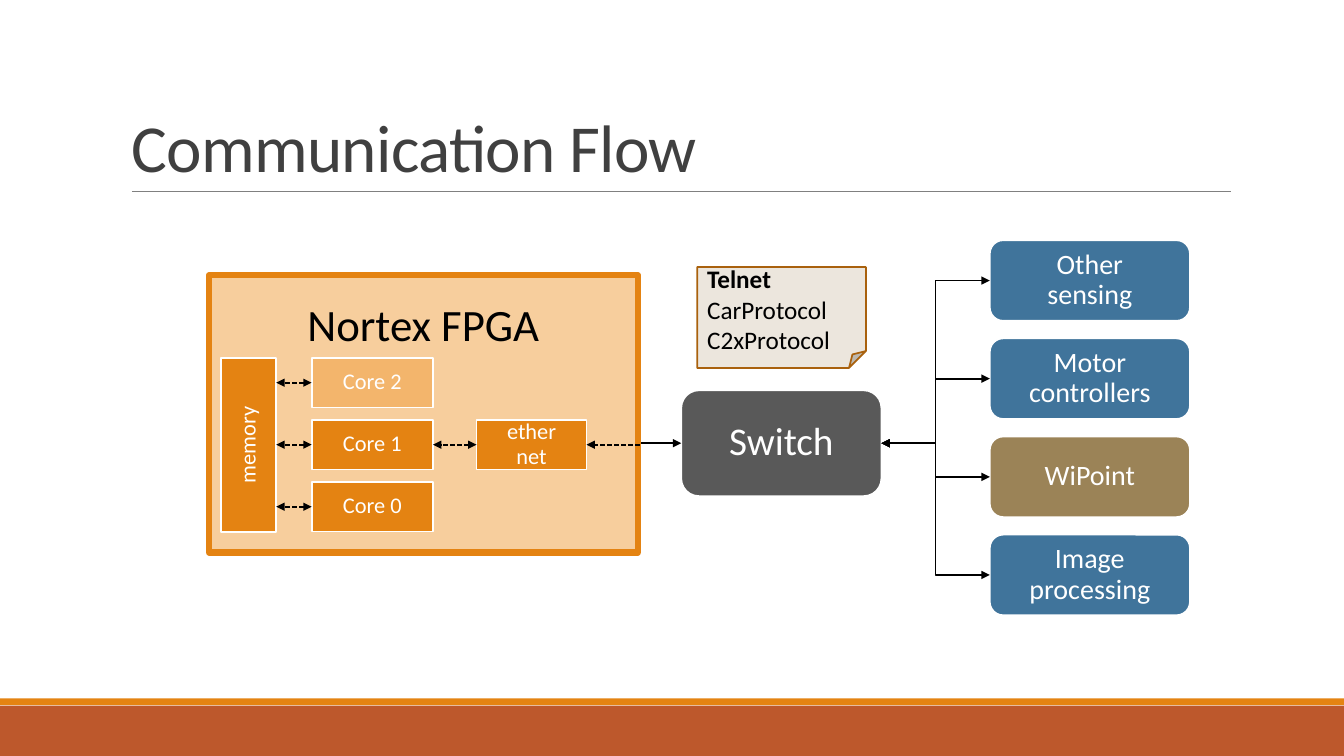
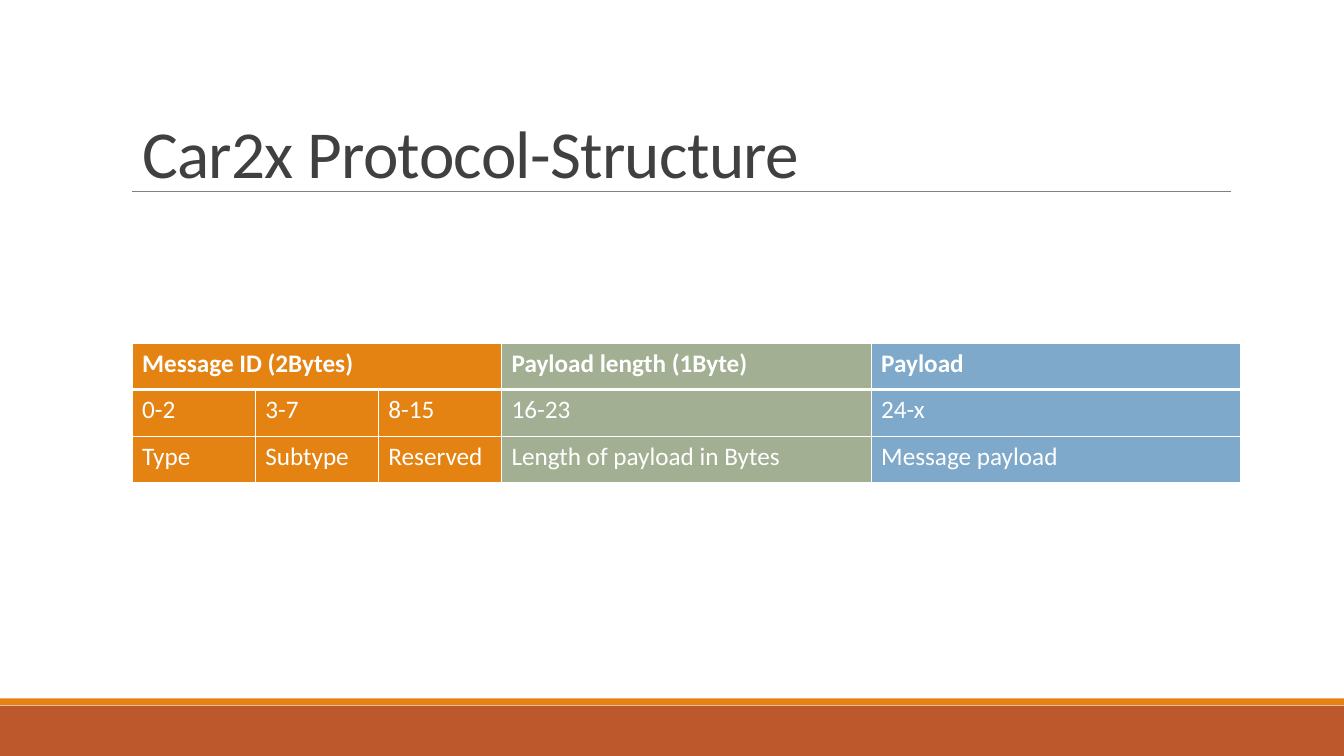
"""Build two slides on a car network: its communication flow and its message layout."""
from dataclasses import dataclass
from typing import Optional

import lxml.etree
import pptx
import pptx.dml.color
import pptx.enum.dml
import pptx.enum.shapes
import pptx.enum.text
import pptx.oxml.ns
import pptx.util

Pt = pptx.util.Pt
qn = pptx.oxml.ns.qn
SHAPE = pptx.enum.shapes.MSO_SHAPE
CONNECTOR = pptx.enum.shapes.MSO_CONNECTOR
ANCHOR = pptx.enum.text.MSO_ANCHOR
ALIGN = pptx.enum.text.PP_ALIGN


@dataclass(frozen=True)
class Theme:
    font: str = "Calibri"
    white: str = "FFFFFF"
    black: str = "000000"
    title: str = "404040"
    rule: str = "808080"
    rust: str = "BD582C"
    orange: str = "E48312"
    light_orange: str = "F3B56C"
    pale_orange: str = "F7CE9D"
    blue: str = "40749B"
    light_blue: str = "7EA9CA"
    olive: str = "9B8357"
    sage: str = "A2AF92"
    gray: str = "595959"
    note: str = "ECE6DD"
    note_line: str = "A9610D"
    title_size: float = 48
    board_size: float = 32
    switch_size: float = 28
    device_size: float = 20
    body_size: float = 18
    core_size: float = 16


T = Theme()
WIDTH, HEIGHT = 960, 540
MARGIN = 94.3
INSET = 19.4


@dataclass(frozen=True)
class Box:
    text: str
    x: float
    y: float
    w: float
    h: float
    fill: str
    size: float = T.core_size
    kind: int = SHAPE.RECTANGLE
    line: Optional[str] = T.white
    line_width: float = 1.25
    color: str = T.white
    anchor: int = ANCHOR.MIDDLE
    vertical: bool = False

    @property
    def right(self) -> float:
        return self.x + self.w

    @property
    def middle(self) -> float:
        return self.y + self.h / 2


@dataclass(frozen=True)
class Link:
    x1: float
    y1: float
    x2: float
    y2: float
    kind: int = CONNECTOR.STRAIGHT
    color: str = T.black
    width: float = 1.25
    dashed: bool = False
    head: bool = True
    tail: bool = True


def rgb(color: str) -> pptx.dml.color.RGBColor:
    return pptx.dml.color.RGBColor.from_string(color)


def add_text(p, text: str, *, size: float, color: str, bold: bool = False,
             spacing: Optional[int] = None) -> None:
    r = p.add_run()
    r.text = text
    r.font.name = T.font
    r.font.size = Pt(size)
    r.font.bold = bold
    r.font.color.rgb = rgb(color)
    if spacing is not None:
        r.font._element.set("spc", str(spacing))


def draw_box(slide, box: Box):
    sp = slide.shapes.add_shape(box.kind, Pt(box.x), Pt(box.y), Pt(box.w), Pt(box.h))
    sp.shadow.inherit = False
    sp.fill.solid()
    sp.fill.fore_color.rgb = rgb(box.fill)
    if box.line:
        sp.line.color.rgb = rgb(box.line)
        sp.line.width = Pt(box.line_width)
    else:
        sp.line.fill.background()
    if box.text:
        tf = sp.text_frame
        tf.word_wrap = True
        tf.vertical_anchor = box.anchor
        tf.margin_left = tf.margin_right = tf.margin_top = tf.margin_bottom = Pt(INSET)
        if box.vertical:
            sp.element.txBody.find(qn("a:bodyPr")).set("vert", "vert270")
        p = tf.paragraphs[0]
        p.alignment = ALIGN.CENTER
        p.line_spacing = 0.9
        add_text(p, box.text, size=box.size, color=box.color)
    return sp


def draw_link(slide, link: Link):
    c = slide.shapes.add_connector(link.kind, Pt(link.x1), Pt(link.y1), Pt(link.x2), Pt(link.y2))
    c.line.color.rgb = rgb(link.color)
    c.line.width = Pt(link.width)
    if link.dashed:
        c.line.dash_style = pptx.enum.dml.MSO_LINE.SQUARE_DOT
    props = c.element.spPr
    ln = props.find(qn("a:ln"))
    for tag, shown in (("a:headEnd", link.head), ("a:tailEnd", link.tail)):
        if shown:
            lxml.etree.SubElement(ln, qn(tag), type="triangle")
    lxml.etree.SubElement(props, qn("a:effectLst"))
    return c


def decorate_layout(layout, slide) -> None:
    rule = Link(MARGIN, 136.8, 879, 136.8, color=T.rule, width=0.5, head=False, tail=False)
    parts = [
        draw_box(slide, Box("", 0, 504, WIDTH, 36, T.rust, line=None)),
        draw_box(slide, Box("", 0, 498.8, WIDTH, 5, T.orange, line=None)),
        draw_link(slide, rule),
    ]
    for part in parts:
        layout.shapes.element.append(part.element)


def set_title(slide, text: str, x: float, y: float) -> None:
    sp = slide.shapes.title
    sp.left, sp.top, sp.width, sp.height = Pt(x), Pt(y), Pt(792), Pt(114.5)
    tf = sp.text_frame
    tf.word_wrap = True
    tf.auto_size = pptx.enum.text.MSO_AUTO_SIZE.NONE
    tf.vertical_anchor = ANCHOR.BOTTOM
    p = tf.paragraphs[0]
    p.alignment = ALIGN.LEFT
    p.line_spacing = 0.85
    add_text(p, text, size=T.title_size, color=T.title, spacing=-50)


def draw_note(slide) -> None:
    sp = draw_box(slide, Box("", 498, 190.8, 120.5, 72, T.note, kind=SHAPE.FOLDED_CORNER,
                             line=T.note_line))
    tf = sp.text_frame
    tf.word_wrap = True
    tf.vertical_anchor = ANCHOR.MIDDLE
    p = tf.paragraphs[0]
    add_text(p, "Telnet ", size=T.body_size, color=T.black, bold=True)
    add_text(p, "CarProtocol", size=T.body_size, color=T.black)
    add_text(tf.add_paragraph(), "C2xProtocol", size=T.body_size, color=T.black)
    for p in tf.paragraphs:
        p.alignment = ALIGN.LEFT


def build_flow(slide) -> None:
    set_title(slide, "Communication Flow", 86.7, 22.3)
    devices = [
        Box(text, 707, 171.6 + 70.1 * i, 143, 57.6, fill, T.device_size, SHAPE.ROUNDED_RECTANGLE)
        for i, (text, fill) in enumerate([
            ("Other sensing", T.blue), ("Motor controllers", T.blue),
            ("WiPoint", T.olive), ("Image processing", T.blue)])
    ]
    switch = Box("Switch", 486.6, 278.8, 143, 75.6, T.gray, T.switch_size, SHAPE.ROUNDED_RECTANGLE)
    board = Box("Nortex FPGA", 149.3, 196.6, 306.3, 198, T.pale_orange, T.board_size,
                line=T.orange, line_width=4.5, color=T.black, anchor=ANCHOR.TOP)
    cores = [
        Box(f"Core {2 - i}", 222.6, 255.6 + 44.3 * i, 86.7, 35.5, fill)
        for i, fill in enumerate([T.light_orange, T.orange, T.orange])
    ]
    core = cores[1]
    ethernet = Box("ethernet", 340.4, core.y, 78.6, core.h, T.orange)
    memory = Box("memory", 157.7, cores[0].y, 39.6, 124.2, T.orange, vertical=True)
    edge = 457

    for box in (*devices, switch):
        draw_box(slide, box)
    draw_link(slide, Link(edge, switch.middle, switch.x, switch.middle, head=False))
    for box in (board, *cores, ethernet, memory):
        draw_box(slide, box)
    draw_link(slide, Link(edge, core.middle, ethernet.right, core.middle, dashed=True, head=False))
    draw_link(slide, Link(ethernet.x, core.middle, core.right, core.middle, dashed=True))
    for box in cores:
        draw_link(slide, Link(box.x, box.middle, memory.right, box.middle, dashed=True))
    for box in devices:
        draw_link(slide, Link(switch.right, switch.middle, box.x, box.middle, CONNECTOR.ELBOW))
    draw_note(slide)


def set_borders(cell, bottom: float) -> None:
    props = cell._tc.get_or_add_tcPr()
    for i, (side, width) in enumerate([("L", 1), ("R", 1), ("T", 1), ("B", bottom)]):
        ln = lxml.etree.Element(qn(f"a:ln{side}"), w=str(Pt(width)))
        fill = lxml.etree.SubElement(ln, qn("a:solidFill"))
        lxml.etree.SubElement(fill, qn("a:srgbClr"), val=T.white)
        props.insert(i, ln)


def build_structure(slide) -> None:
    set_title(slide, "Car2x Protocol-Structure", MARGIN, 26.6)
    rows = [
        ("Message ID (2Bytes)", "", "", "Payload length (1Byte)", "Payload"),
        ("0-2", "3-7", "8-15", "16-23", "24-x"),
        ("Type", "Subtype", "Reserved", "Length of payload in Bytes", "Message payload"),
    ]
    widths = (88, 88, 88, 264, 264)
    fills = (T.orange, T.orange, T.orange, T.sage, T.light_blue)
    row_height = 33.3
    table = slide.shapes.add_table(len(rows), len(widths), Pt(MARGIN), Pt(245), Pt(sum(widths)),
                                   Pt(row_height * len(rows))).table
    for column, width in zip(table.columns, widths):
        column.width = Pt(width)
    for i, row in enumerate(rows):
        table.rows[i].height = Pt(row_height)
        for j, (text, fill) in enumerate(zip(row, fills)):
            cell = table.cell(i, j)
            cell.fill.solid()
            cell.fill.fore_color.rgb = rgb(fill)
            set_borders(cell, bottom=3 if i == 0 else 1)
            if text:
                add_text(cell.text_frame.paragraphs[0], text, size=T.body_size, color=T.white,
                         bold=i == 0)
    table.cell(0, 0).merge(table.cell(0, 2))


def main() -> None:
    prs = pptx.Presentation()
    prs.slide_width, prs.slide_height = Pt(WIDTH), Pt(HEIGHT)
    layout = prs.slide_layouts.get_by_name("Title Only")
    flow, structure = (prs.slides.add_slide(layout) for _ in range(2))
    decorate_layout(layout, flow)
    build_flow(flow)
    build_structure(structure)
    prs.save("out.pptx")


if __name__ == "__main__":
    main()
